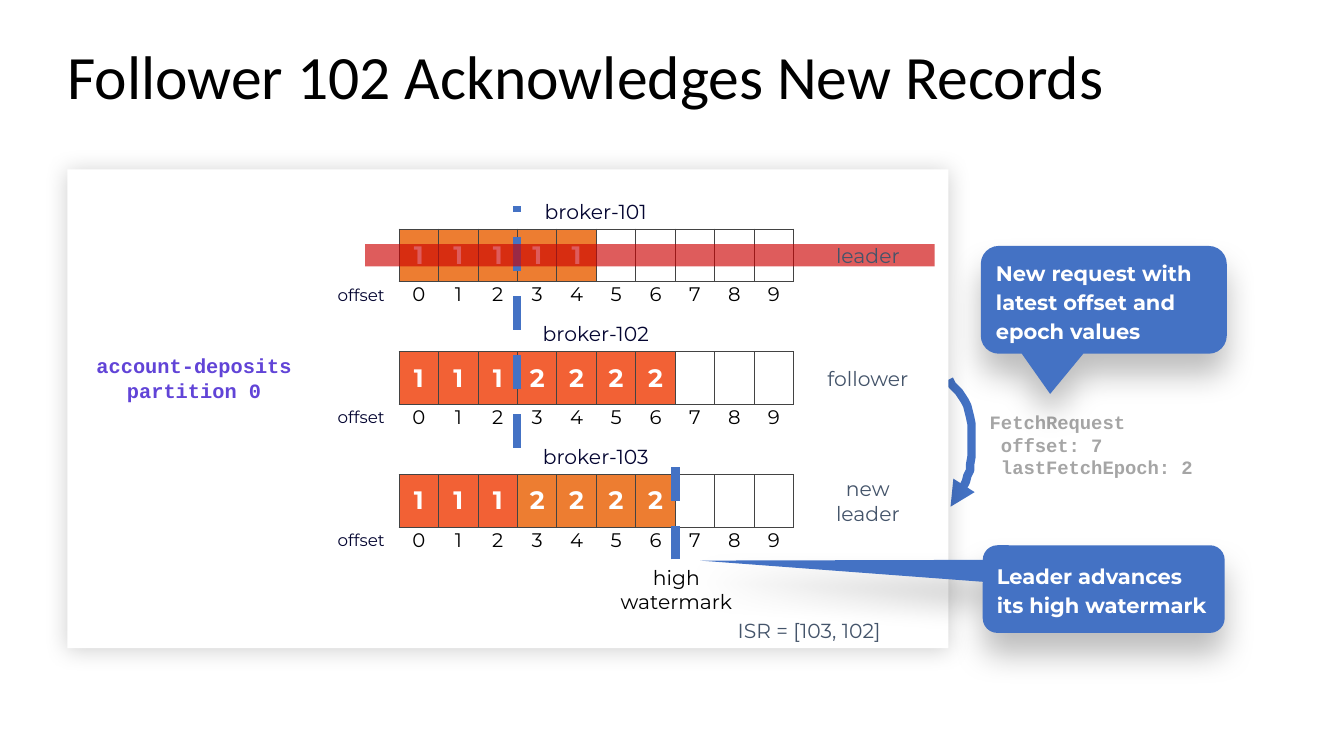
from lxml import etree
from pptx import Presentation
from pptx.dml.color import RGBColor
from pptx.enum import dml, shapes, text
from pptx.oxml import ns
from pptx.util import Pt

BLUE, ORANGE, CORAL, WHITE, BLACK = "4472C4", "ED7D31", "F26135", "FFFFFF", "000000"
NAVY, SLATE, GRAY, VIOLET, RED, BORDER = "040531", "44546A", "A5A5A5", "6144D7", "CC0000", "434343"
CELL = 28.2
LOG_LEFT = 285.1
BROKER_PITCH = 87.7
BROKERS = [
    ("broker-101", "leader", "11111", [ORANGE] * 5),
    ("broker-102", "follower", "1112222", [CORAL] * 7),
    ("broker-103", "new\nleader", "1112222", [CORAL] * 3 + [ORANGE] * 4),
]
FETCH_CURVE = [
    ((677.5, 271.4), (679.7, 275), (689.8, 283), (691.9, 293.8)),
    ((691.9, 293.8), (694.8, 304.6), (694.8, 324.7), (692.6, 336.2)),
    ((692.6, 336.2), (690.5, 347), (681.1, 357.8), (679, 362.2)),
]


def color(value):
    return RGBColor.from_string(value)


def add_xml(parent, tag, **attributes):
    return etree.SubElement(parent, ns.qn(tag), attributes)


def write_text(frame, content, size=14.5, ink=BLACK, font="Montserrat", bold=False,
               align=text.PP_ALIGN.LEFT, spacing=None):
    for index, line in enumerate(content.split("\n")):
        paragraph = frame.paragraphs[0] if index == 0 else frame.add_paragraph()
        paragraph.alignment = align
        if spacing:
            paragraph.line_spacing = spacing
        run = paragraph.add_run()
        run.text = line
        run.font.size = Pt(size)
        run.font.name = font
        run.font.bold = bold
        run.font.color.rgb = color(ink)


def set_margins(holder, insets):
    holder.margin_left, holder.margin_top, holder.margin_right, holder.margin_bottom = map(Pt, insets)


def bezier(start, first, second, end, t):
    s = 1 - t
    return tuple(s**3 * a + 3 * s * s * t * b + 3 * s * t * t * c + t**3 * d
                 for a, b, c, d in zip(start, first, second, end))


class SlideBuilder:
    def __init__(self, slide):
        self.slide = slide

    def fill_frame(self, frame, content, insets, anchor, grow=False, **style):
        frame.word_wrap = True
        frame.auto_size = text.MSO_AUTO_SIZE.SHAPE_TO_FIT_TEXT if grow else text.MSO_AUTO_SIZE.NONE
        frame.vertical_anchor = anchor
        set_margins(frame, insets)
        write_text(frame, content, **style)

    def label(self, box, content, insets=(5, 5, 5, 5), anchor=text.MSO_ANCHOR.MIDDLE, **style):
        shape = self.slide.shapes.add_textbox(*map(Pt, box))
        self.fill_frame(shape.text_frame, content, insets, anchor, **style)

    def centered(self, box, content, **style):
        self.label(box, content, align=text.PP_ALIGN.CENTER, **style)

    def block(self, box, fill, kind=shapes.MSO_SHAPE.RECTANGLE, alpha=None, shadow=None):
        shape = self.slide.shapes.add_shape(kind, *map(Pt, box))
        shape.fill.solid()
        shape.fill.fore_color.rgb = color(fill)
        shape.line.fill.background()
        shape.shadow.inherit = False
        properties = shape._element.spPr
        if alpha:
            tone = properties.find(ns.qn("a:solidFill"))[0]
            add_xml(tone, "a:alpha", val=str(alpha * 1000))
        if shadow:
            opacity, blur, distance = shadow
            effects = properties.find(ns.qn("a:effectLst"))
            outer = add_xml(effects, "a:outerShdw", blurRad=str(Pt(blur)), dist=str(Pt(distance)),
                            dir="5400000", algn="ctr", rotWithShape="0")
            tone = add_xml(outer, "a:srgbClr", val=BLACK)
            add_xml(tone, "a:alpha", val=str(opacity * 1000))
        return shape

    def callout(self, box, content, tip):
        shape = self.block(box, BLUE, shapes.MSO_SHAPE.ROUNDED_RECTANGULAR_CALLOUT, shadow=(25, 23, 15))
        for index, value in enumerate((*tip, 0.167)):
            shape.adjustments[index] = value
        self.fill_frame(shape.text_frame, content, (7.2, 1.4, 7.2, 1.4), text.MSO_ANCHOR.MIDDLE,
                        size=15, ink=WHITE, bold=True, spacing=1.15)

    def offset_tag(self, top):
        shape = self.block((237.6, top, 44.6, 21.6), WHITE)
        self.fill_frame(shape.text_frame, "offset", (3.6,) * 4, text.MSO_ANCHOR.MIDDLE,
                        grow=True, size=12, ink=NAVY)

    def row(self, top, height, values, fills=None, inset=0, **style):
        frame = self.slide.shapes.add_table(1, 10, Pt(LOG_LEFT), Pt(top), Pt(CELL * 10), Pt(height))
        table = frame.table
        table.first_row = table.horz_banding = False
        table.rows[0].height = Pt(height)
        for index in range(10):
            table.columns[index].width = Pt(CELL)
            cell = table.cell(0, index)
            set_margins(cell, (inset,) * 4)
            cell.vertical_anchor = text.MSO_ANCHOR.MIDDLE
            if fills:
                self.cell_borders(cell)
                cell.fill.solid()
                cell.fill.fore_color.rgb = color(fills[index] if index < len(fills) else WHITE)
            else:
                cell.fill.background()
            if index < len(values):
                write_text(cell.text_frame, values[index], align=text.PP_ALIGN.CENTER, **style)

    def cell_borders(self, cell):
        properties = cell._tc.get_or_add_tcPr()
        for tag in ("a:lnL", "a:lnR", "a:lnT", "a:lnB"):
            line = add_xml(properties, tag, w=str(Pt(0.75)))
            add_xml(add_xml(line, "a:solidFill"), "a:srgbClr", val=BORDER)

    def stroke(self, shape):
        shape.line.color.rgb = color(BLUE)
        shape.line.width = Pt(6)

    def watermark_line(self, x, bottom, top):
        line = self.slide.shapes.add_connector(shapes.MSO_CONNECTOR.STRAIGHT, *map(Pt, (x, bottom, x, top)))
        self.stroke(line)
        line.line.dash_style = dml.MSO_LINE.DASH
        add_xml(line._element.spPr, "a:effectLst")

    def curved_arrow(self, segments, steps=8):
        points = [bezier(*segment, step / steps) for segment in segments for step in range(1, steps + 1)]
        builder = self.slide.shapes.build_freeform(*segments[0][0], scale=Pt(1))
        builder.add_line_segments(points, close=False)
        shape = builder.convert_to_shape()
        shape.fill.background()
        shape.shadow.inherit = False
        self.stroke(shape)
        add_xml(shape._element.spPr.find(ns.qn("a:ln")), "a:tailEnd", type="triangle")


def main():
    presentation = Presentation()
    presentation.slide_width, presentation.slide_height = Pt(960), Pt(540)
    builder = SlideBuilder(presentation.slides.add_slide(presentation.slide_layouts[6]))

    builder.label((48.2, 28.1, 816.5, 44.6), "Follower 102 Acknowledges New Records", (0, 5, 9.4, 5),
                  text.MSO_ANCHOR.TOP, size=44, font="Calibri", spacing=0.9)
    builder.label((702, 298.8, 216, 37.4), "FetchRequest\n offset: 7\n lastFetchEpoch: 2",
                  size=13.5, ink=GRAY, font="Courier New", bold=True)
    builder.curved_arrow(FETCH_CURVE)
    builder.callout((700.6, 175.7, 175.7, 77), "New request with latest offset and epoch values", (-0.218, 0.873))
    builder.block((48.2, 121, 629.3, 342), WHITE, shadow=(19, 16.9, 1.5))

    for index, (broker, role, epochs, fills) in enumerate(BROKERS):
        shift = index * BROKER_PITCH
        builder.row(200 + shift, 20.9, "0123456789", size=14)
        builder.offset_tag(199.5 + shift)
        builder.row(163.6 + shift, 37.5, epochs, fills, inset=5, size=18, ink=WHITE, bold=True)

    builder.centered((421.2, 410.4, 123.8, 20.9), "high watermark")
    builder.watermark_line(369.2, 319.7, 146.9)
    builder.watermark_line(482.5, 399.6, 317.5)
    builder.callout((702, 389.5, 172.8, 62.6), "Leader advances its high watermark", (-1.668, -0.325))
    builder.block((260.8, 174.4, 406.8, 15.9), RED, alpha=64)
    builder.centered((54.7, 247.7, 167.8, 44.6), "account-deposits partition 0",
                     ink=VIOLET, font="Courier New", bold=True)
    for index, (broker, role, epochs, fills) in enumerate(BROKERS):
        shift = index * BROKER_PITCH
        builder.centered((363.6, 140.2 + shift, 123.8, 20.9), broker, ink=NAVY)
        builder.centered((558, 171.9 + shift, 123.8, 20.9), role, ink=SLATE)
    builder.label((523.4, 437.8, 146.9, 24.5), "ISR = [103, 102]", (3.6,) * 4,
                  text.MSO_ANCHOR.TOP, grow=True, ink=SLATE)
    presentation.save("out.pptx")


if __name__ == "__main__":
    main()
